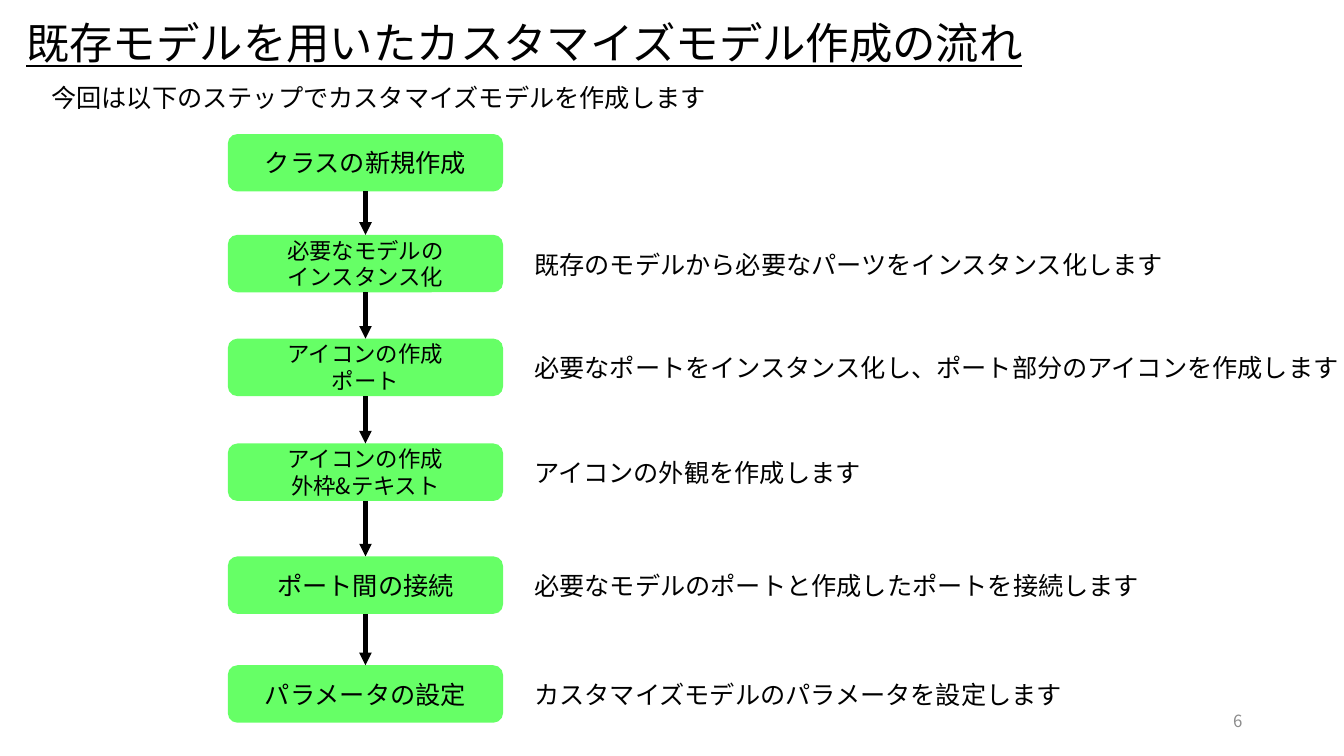
from lxml.etree import SubElement
from pptx import Presentation
from pptx.dml.color import RGBColor
from pptx.enum.shapes import MSO_CONNECTOR, MSO_SHAPE
from pptx.enum.text import MSO_ANCHOR, MSO_AUTO_SIZE, PP_ALIGN
from pptx.oxml.ns import qn
from pptx.util import Inches, Pt

FONT = "Noto Sans CJK JP"
COLORS = {"text": "000000", "step": "66FF66", "arrow": "000000", "number": "8C8C8C"}
STEP_HEIGHT = 0.57
NOTE_LEFT, NOTE_DROP, NOTE_HEIGHT = 2.94, 0.09, 0.4
STEPS = [
    (0, ["クラスの新規作成"], None, 0),
    (1, ["必要なモデルの", "インスタンス化"],
     "既存のモデルから必要なパーツをインスタンス化します", 6.51),
    (2.03, ["アイコンの作成", "ポート"],
     "必要なポートをインスタンス化し、ポート部分のアイコンを作成します", 8.28),
    (3.07, ["アイコンの作成", "外枠&テキスト"], "アイコンの外観を作成します", 3.48),
    (4.19, ["ポート間の接続"], "必要なモデルのポートと作成したポートを接続します", 6.26),
    (5.27, ["パラメータの設定"], "カスタマイズモデルのパラメータを設定します", 5.5),
]


def color(name):
    return RGBColor.from_string(COLORS[name])


def write(tf, lines, size, name="text", align=PP_ALIGN.LEFT, underline=None):
    for i, line in enumerate(lines):
        p = tf.paragraphs[0] if i == 0 else tf.add_paragraph()
        p.text = line
        p.alignment = align
        p.font.size = Pt(size)
        p.font.color.rgb = color(name)
        p.font.underline = underline
        p.font.name = FONT
        SubElement(p._p.pPr.find(qn("a:defRPr")), qn("a:ea"), typeface=FONT)


def add_title(slide, text, left, top, width, height):
    sp = slide.shapes.title
    sp.left, sp.top, sp.width, sp.height = map(Inches, (left, top, width, height))
    tf = sp.text_frame
    tf.word_wrap = False
    tf.auto_size = MSO_AUTO_SIZE.NONE
    tf.vertical_anchor = MSO_ANCHOR.MIDDLE
    tf.margin_left = tf.margin_right = tf.margin_top = tf.margin_bottom = Inches(0.06)
    write(tf, [text], 31, underline=True)


def add_label(slide, text, left, top, width, height, size=18, **style):
    sp = slide.shapes.add_textbox(*map(Inches, (left, top, width, height)))
    tf = sp.text_frame
    tf.word_wrap = False
    write(tf, [text], size, **style)
    return sp


def add_step(slide, lines, left, top, width):
    sp = slide.shapes.add_shape(
        MSO_SHAPE.ROUNDED_RECTANGLE, *map(Inches, (left, top, width, STEP_HEIGHT)))
    sp.shadow.inherit = False
    sp.fill.solid()
    sp.fill.fore_color.rgb = color("step")
    sp.line.fill.background()
    tf = sp.text_frame
    tf.vertical_anchor = MSO_ANCHOR.MIDDLE
    write(tf, lines, 18 if len(lines) == 1 else 16, align=PP_ALIGN.CENTER)
    return sp


def add_arrow(slide, upper, lower):
    line = slide.shapes.add_connector(MSO_CONNECTOR.STRAIGHT, 0, 0, 0, 0)
    line.begin_connect(upper, 2)
    line.end_connect(lower, 0)
    line.line.color.rgb = color("arrow")
    line.line.width = Pt(3)
    SubElement(line.line._get_or_add_ln(), qn("a:tailEnd"), type="triangle")
    SubElement(line._element.spPr, qn("a:effectLst"))


def add_flow(slide, left, top, width):
    previous = None
    for drop, lines, note, note_width in STEPS:
        step = add_step(slide, lines, left, top + drop, width)
        if note:
            add_label(slide, note, left + NOTE_LEFT, top + drop + NOTE_DROP,
                      note_width, NOTE_HEIGHT)
        if previous:
            add_arrow(slide, previous, step)
        previous = step


def main():
    prs = Presentation()
    prs.slide_width, prs.slide_height = Inches(13.33), Inches(7.5)
    slide = prs.slides.add_slide(prs.slide_layouts[5])
    add_title(slide, "既存モデルを用いたカスタマイズモデル作成の流れ", 0.2, 0.1, 10.11, 0.63)
    add_label(slide, "今回は以下のステップでカスタマイズモデルを作成します", 0.41, 0.77, 6.77, 0.4)
    add_flow(slide, 2.26, 1.33, 2.73)
    number = add_label(slide, "6", 9.42, 6.95, 3, 0.4, size=12,
                       name="number", align=PP_ALIGN.RIGHT)
    number.text_frame.word_wrap = True
    number.text_frame.vertical_anchor = MSO_ANCHOR.MIDDLE
    prs.save("out.pptx")


if __name__ == "__main__":
    main()
